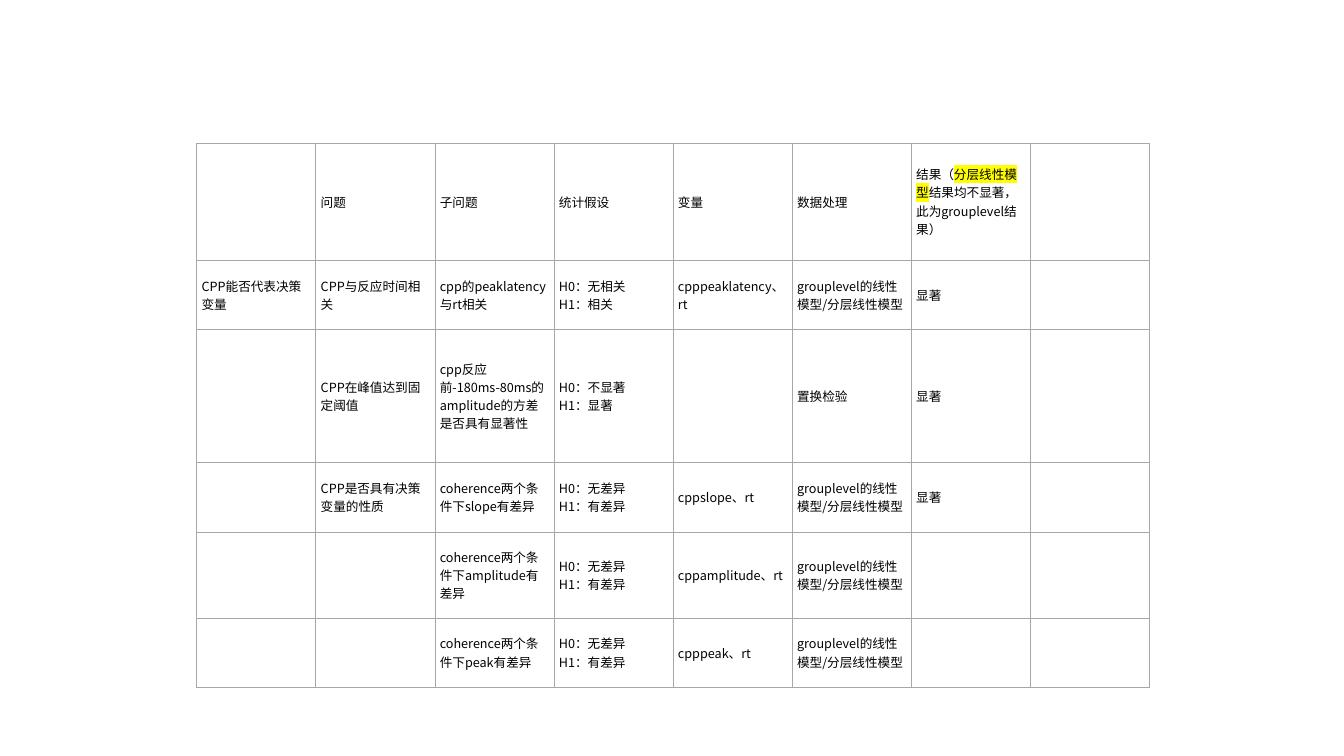
from pptx import Presentation
from pptx.dml.color import RGBColor
from pptx.enum.text import MSO_ANCHOR as Anchor
from pptx.oxml import parse_xml
from pptx.oxml.ns import nsdecls, qn
from pptx.util import Inches, Pt

FONT = "Noto Sans CJK SC"
INK, GRID, MARK = "000000", "A7A7A7", "FFFF00"
HEIGHTS = [1.16, 0.69, 1.32, 0.69, 0.85, 0.69]
MODEL = "grouplevel的线性模型/分层线性模型"
DIFF = "H0：无差异\nH1：有差异"

# Text between bars is highlighted; a line break starts a new paragraph
ROWS = [
    ["", "问题", "子问题", "统计假设", "变量", "数据处理",
     "结果（|分层线性模型|结果均不显著，此为grouplevel结果）", ""],
    ["CPP能否代表决策变量", "CPP与反应时间相关", "cpp的peaklatency与rt相关",
     "H0：无相关\nH1：相关", "cpppeaklatency、rt", MODEL, "显著", ""],
    ["", "CPP在峰值达到固定阈值",
     "cpp反应前-180ms-80ms的amplitude的方差是否具有显著性",
     "H0：不显著\nH1：显著", "", "置换检验", "显著", ""],
    ["", "CPP是否具有决策变量的性质", "coherence两个条件下slope有差异",
     DIFF, "cppslope、rt", MODEL, "显著", ""],
    ["", "", "coherence两个条件下amplitude有差异",
     DIFF, "cppamplitude、rt", MODEL, "", ""],
    ["", "", "coherence两个条件下peak有差异",
     DIFF, "cpppeak、rt", MODEL, "", ""],
]


def color(code):
    return RGBColor.from_string(code)


def solid(code):
    return f'<a:solidFill><a:srgbClr val="{code}"/></a:solidFill>'


def border(cell):
    props = cell._tc.get_or_add_tcPr()
    for side in ("lnL", "lnR", "lnT", "lnB"):
        props.append(parse_xml(
            f'<a:{side} {nsdecls("a")} w="{Pt(0.43)}">{solid(GRID)}</a:{side}>'))


def mark(run):
    run._r.get_or_add_rPr().append(parse_xml(
        f'<a:highlight {nsdecls("a")}><a:srgbClr val="{MARK}"/></a:highlight>'))


def write(para, text):
    font = para.font
    font.size, font.name = Pt(9), FONT
    font.color.rgb = color(INK)
    # East Asian glyphs need their own typeface entry
    para._p.pPr.find(qn("a:defRPr")).append(
        parse_xml(f'<a:ea {nsdecls("a")} typeface="{FONT}"/>'))
    for i, part in enumerate(text.split("|")):
        if part:
            run = para.add_run()
            run.text = part
            if i % 2:
                mark(run)


def fill_cell(cell, text):
    border(cell)
    cell.fill.background()
    cell.vertical_anchor = Anchor.MIDDLE
    cell.margin_left = cell.margin_right = Inches(0.05)
    cell.margin_top = cell.margin_bottom = Inches(0.02)
    frame = cell.text_frame
    for i, line in enumerate(text.split("\n")):
        write(frame.add_paragraph() if i else frame.paragraphs[0], line)


def add_plan(slide, left, top, width):
    """Table of questions, hypotheses and results."""
    count = len(ROWS[0])
    table = slide.shapes.add_table(
        len(ROWS), count, Inches(left), Inches(top),
        Inches(width), Inches(sum(HEIGHTS))).table
    table.first_row = table.horz_banding = False
    for col in table.columns:
        col.width = Inches(width / count)
    for row, height, texts in zip(table.rows, HEIGHTS, ROWS):
        row.height = Inches(height)
        for cell, text in zip(row.cells, texts):
            fill_cell(cell, text)


def main():
    deck = Presentation()
    deck.slide_width, deck.slide_height = Inches(13.33), Inches(7.5)
    slide = deck.slides.add_slide(deck.slide_layouts[6])
    add_plan(slide, 1.95, 1.42, 9.45)
    deck.save("out.pptx")


if __name__ == "__main__":
    main()
